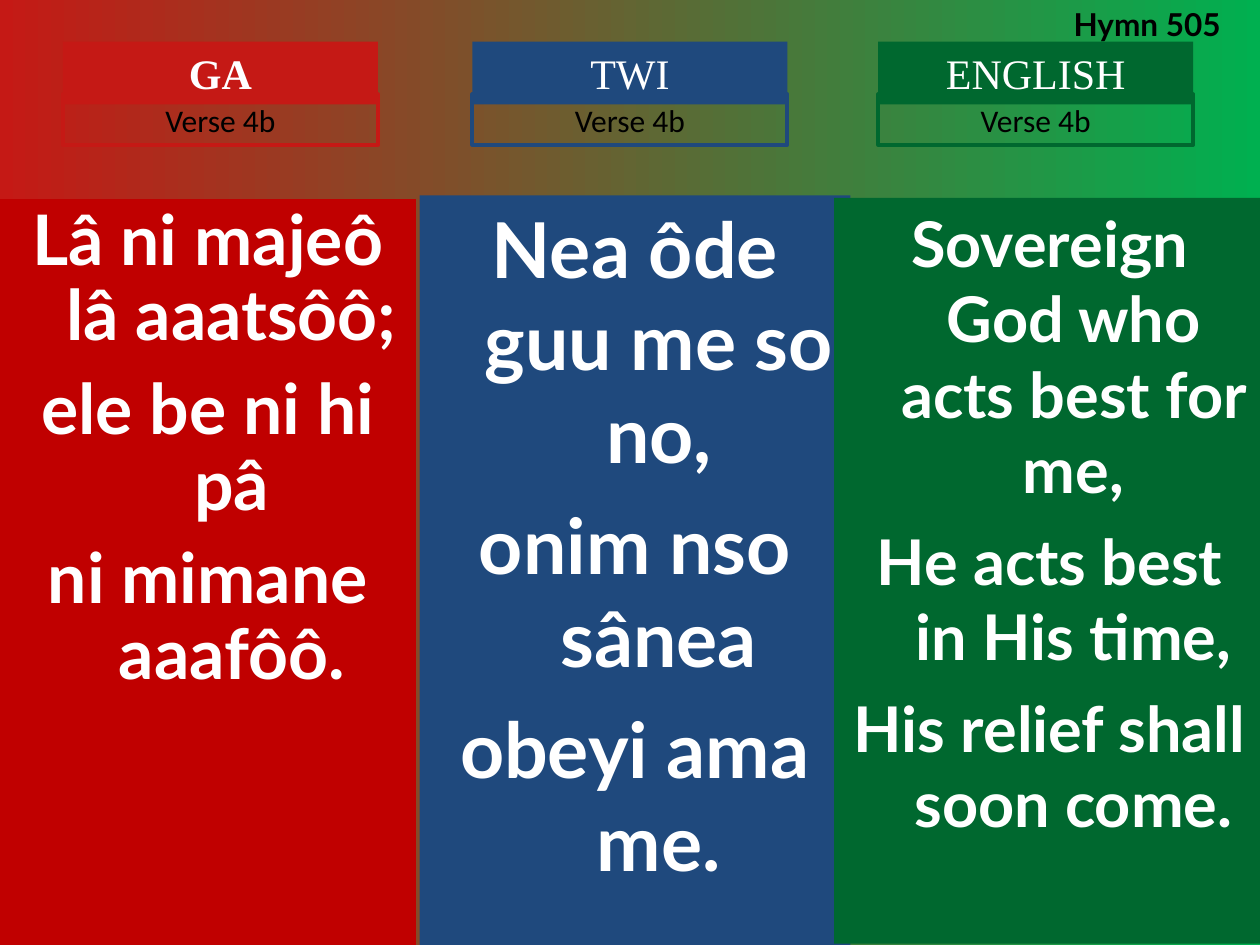
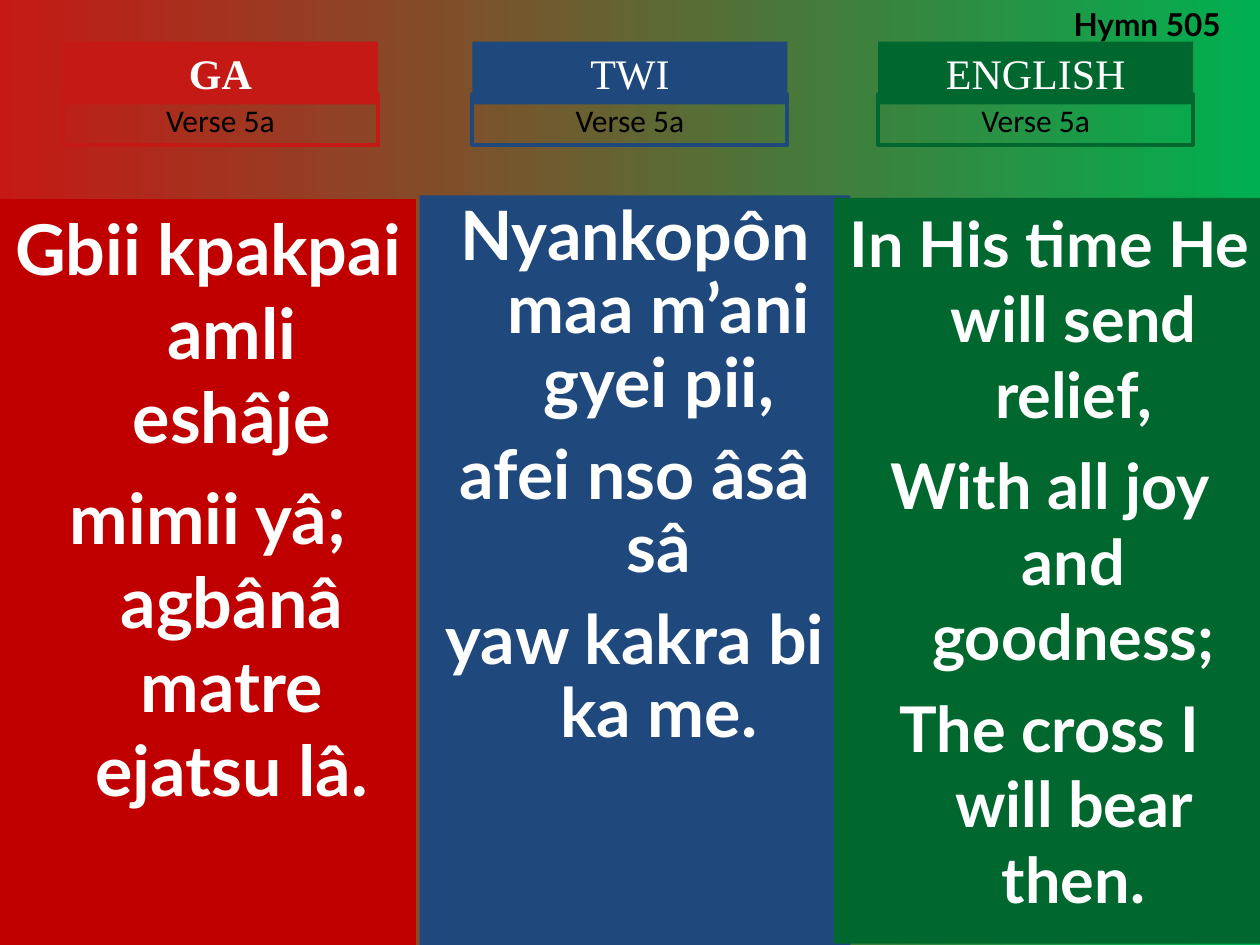
from pptx import Presentation
from pptx.dml.color import RGBColor
from pptx.enum.shapes import MSO_SHAPE
from pptx.enum.text import MSO_ANCHOR, MSO_AUTO_SIZE, PP_ALIGN
from pptx.util import Inches, Pt
from lxml.etree import SubElement
from pptx.oxml.ns import qn

# Content: each verse gives, per language, (size, line spacing, space before, lines)
HYMN = "Hymn 505"
VERSES = [
    ("Verse 4b", [
        (39.8, 0.9, 10.7, ["Lâ ni majeô lâ aaatsôô;", "ele be ni hi pâ",
                           "ni mimane aaafôô."]),
        (44, 1.0, 11, ["Nea ôde guu me so no,", "onim nso sânea",
                       "obeyi ama me."]),
        (36, 1.0, 9, ["Sovereign God who acts best for me,",
                      "He acts best in His time,",
                      "His relief shall soon come."]),
    ]),
    ("Verse 5a", [
        (40, 1.0, 10, ["Gbii kpakpai amli eshâje",
                       "mimii yâ; agbânâ matre ejatsu lâ."]),
        (38.9, 0.9, 10.5, ["Nyankopôn maa m’ani gyei pii,", "afei nso âsâ sâ",
                           "yaw kakra bi ka me."]),
        (36, 1.0, 9, ["In His time He will send relief,",
                      "With all joy and goodness;",
                      "The cross I will bear then."]),
    ]),
]

# Language columns: name, bold, label colour, label left, panel colour, panel place
LANGUAGES = [
    ("GA", True, "C51915", 0.5, "C00000", (0, 1.58, 3.3, 5.92)),
    ("TWI", False, "1F497D", 3.75, "1F497D", (3.33, 1.55, 3.42, 5.95)),
    ("ENGLISH", False, "00682F", 6.97, "00682F", (6.62, 1.57, 3.42, 5.92)),
]
RED, GREEN, WHITE, BLACK = "C51915", "00B050", "FFFFFF", "000000"
LABEL_WIDTH = 2.5
HANGING = Inches(0.38)
COMPARISON_LAYOUT = 4
UNUSED_PLACEHOLDER, FIRST_PANEL = 1, 2


def color(value):
    return RGBColor.from_string(value)


def place(box, left, top, width, height):
    box.left, box.top = Inches(left), Inches(top)
    box.width, box.height = Inches(width), Inches(height)


def style(para, font_name, size, text_color, bold=False, align=PP_ALIGN.CENTER):
    para.alignment = align
    font = para.font
    font.name, font.size, font.bold = font_name, Pt(size), bold
    font.color.rgb = color(text_color)


def set_frame(box, fit=MSO_AUTO_SIZE.SHAPE_TO_FIT_TEXT):
    frame = box.text_frame
    frame.word_wrap = True
    frame.auto_size = fit
    frame.vertical_anchor = MSO_ANCHOR.TOP
    frame.margin_left = frame.margin_right = Inches(0.1)
    frame.margin_top = frame.margin_bottom = Inches(0.05)
    return frame


def add_label(page, left, top, height, text):
    box = page.shapes.add_shape(MSO_SHAPE.RECTANGLE, Inches(left), Inches(top),
                                Inches(LABEL_WIDTH), Inches(height))
    box.shadow.inherit = False
    set_frame(box).text = text
    return box


def add_heading(page, left, name, bold, fill):
    box = add_label(page, left, 0.33, 0.5, name)
    box.fill.solid()
    box.fill.fore_color.rgb = color(fill)
    box.line.fill.background()
    style(box.text_frame.paragraphs[0], "Times New Roman", 24, WHITE, bold)


def add_verse_label(page, left, verse, outline):
    box = add_label(page, left, 0.75, 0.4, verse)
    box.fill.background()
    box.line.color.rgb = color(outline)
    box.line.width = Pt(2.25)
    style(box.text_frame.paragraphs[0], "Calibri", 18, BLACK)


def fill_panel(panel, spot, fill, size, line_spacing, space_before, lines):
    place(panel, *spot)
    panel.fill.solid()
    panel.fill.fore_color.rgb = color(fill)
    frame = set_frame(panel, MSO_AUTO_SIZE.NONE)
    frame.text = "\n".join(lines)
    for index, para in enumerate(frame.paragraphs):
        properties = para._p.get_or_add_pPr()
        properties.set("marL", str(HANGING))
        properties.set("indent", str(-HANGING))
        SubElement(properties, qn("a:buNone"))
        para.line_spacing = line_spacing
        para.space_before = Pt(space_before if index else 0)
        style(para, "Lato", size, WHITE, True)


def add_verse(deck, verse, texts):
    page = deck.slides.add_slide(deck.slide_layouts[COMPARISON_LAYOUT])
    holders = {holder.placeholder_format.idx: holder for holder in page.placeholders}
    unused = holders[UNUSED_PLACEHOLDER].element
    unused.getparent().remove(unused)

    # Hymn number
    title = page.shapes.title
    place(title, 8.42, -0.01, 1.5, 0.4)
    set_frame(title).text = HYMN
    style(title.text_frame.paragraphs[0], "Lato", 18, BLACK, True, PP_ALIGN.LEFT)

    # Language columns
    for index, (language, text) in enumerate(zip(LANGUAGES, texts)):
        name, bold, label_color, left, panel_color, spot = language
        fill_panel(holders[FIRST_PANEL + index], spot, panel_color, *text)
        add_heading(page, left, name, bold, label_color)
        add_verse_label(page, left, verse, label_color)


def main():
    deck = Presentation()
    deck.slide_width, deck.slide_height = Inches(10), Inches(7.5)

    # Shared background
    backdrop = deck.slide_master.background.fill
    backdrop.gradient()
    backdrop.gradient_angle = 0
    for stop, shade in zip(backdrop.gradient_stops, (RED, GREEN)):
        stop.color.rgb = color(shade)

    for verse, texts in VERSES:
        add_verse(deck, verse, texts)
    deck.save("out.pptx")


if __name__ == "__main__":
    main()
